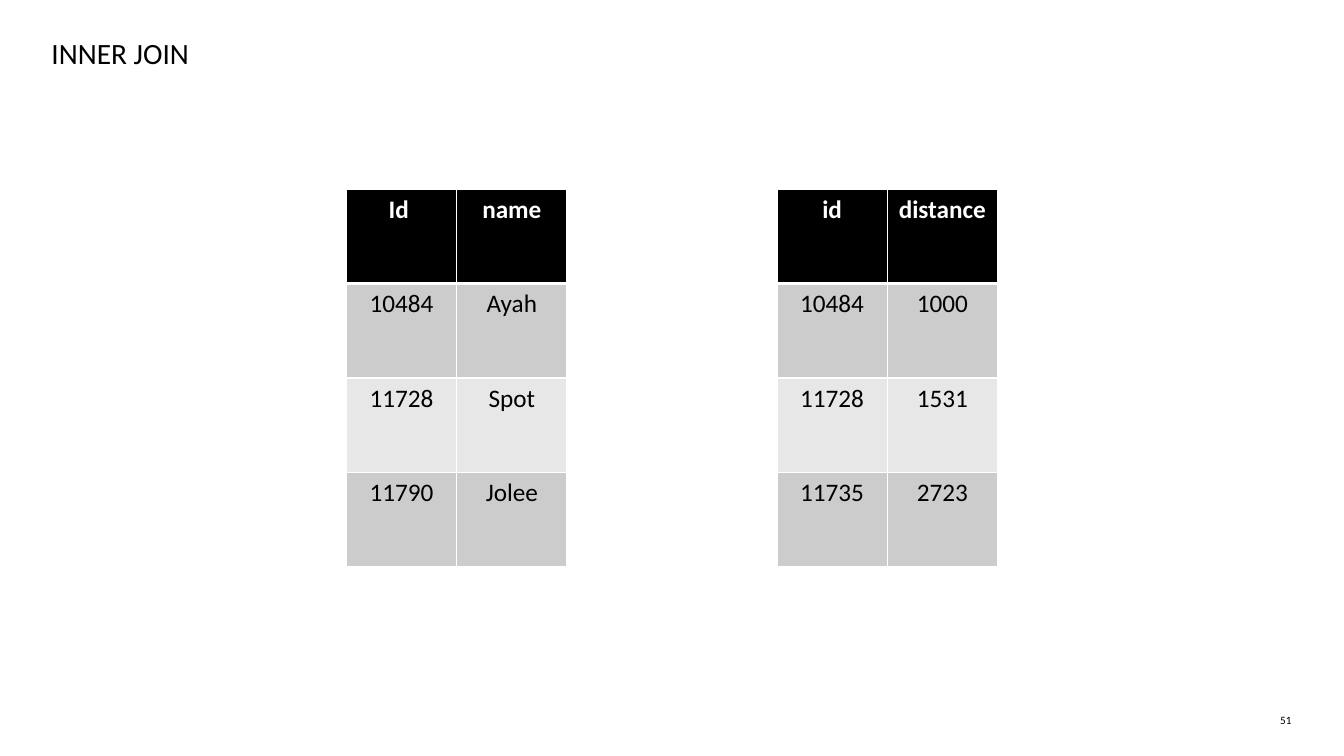
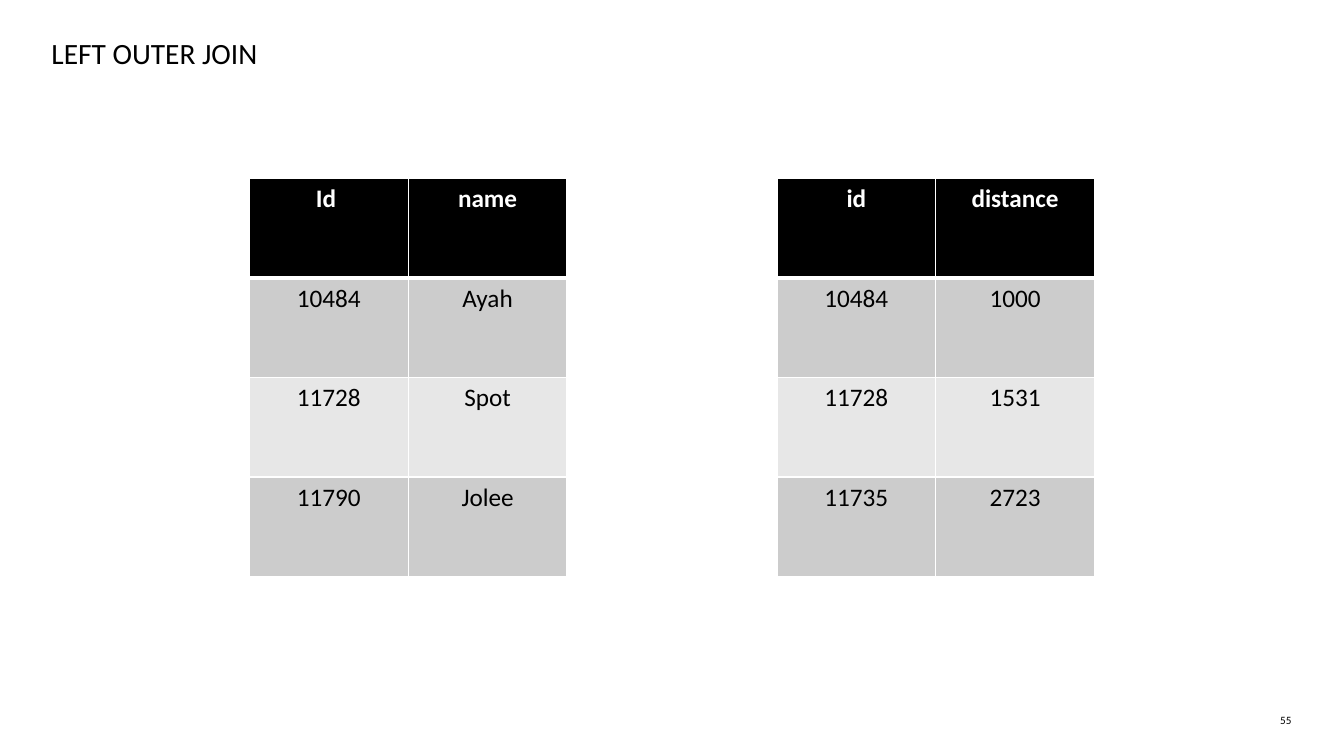
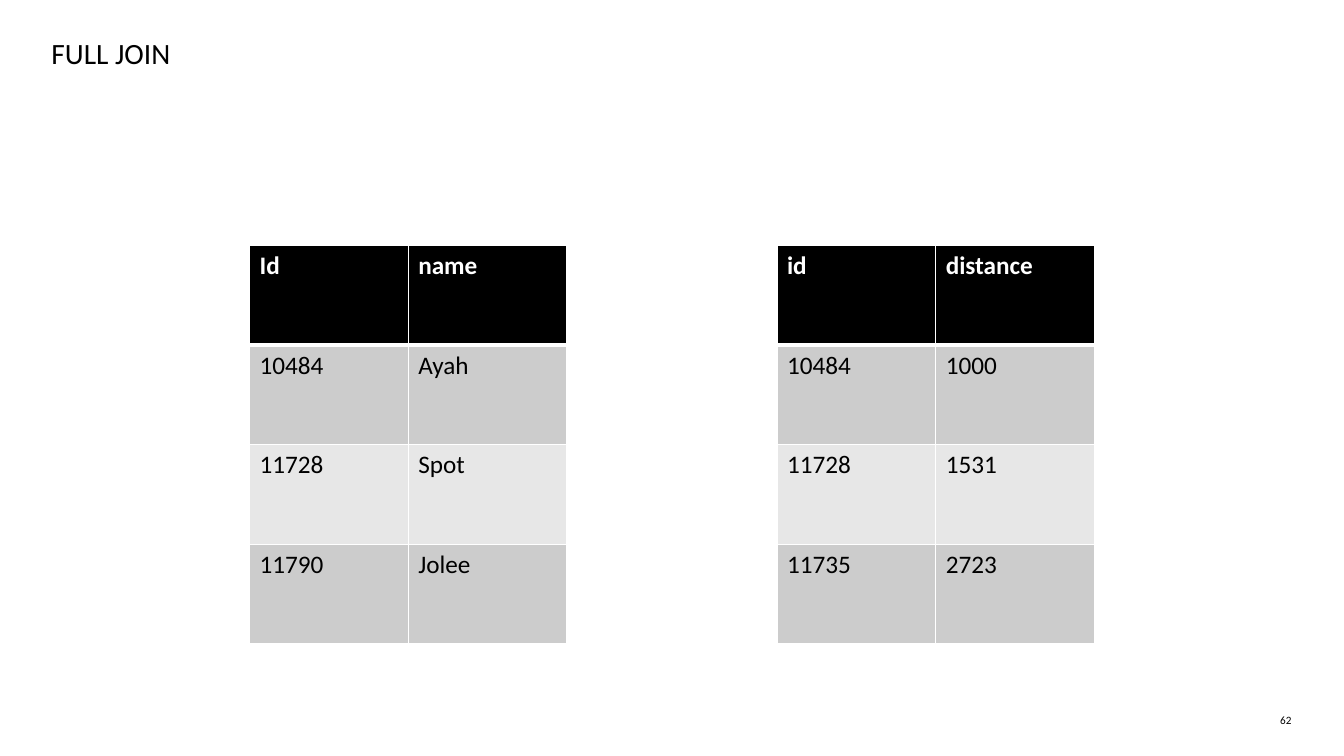
from dataclasses import dataclass

from lxml.etree import SubElement
from pptx import Presentation
from pptx.dml.color import RGBColor
from pptx.enum.text import MSO_ANCHOR, PP_ALIGN
from pptx.oxml.ns import qn
from pptx.util import Inches, Pt


@dataclass(frozen=True)
class Theme:
    font: str = "Calibri"
    ink: str = "000000"
    paper: str = "FFFFFF"
    header: str = "000000"
    bands: tuple = ("CCCCCC", "E7E7E7")
    title_size: int = 21
    table_size: int = 18
    number_size: int = 8
    rule: int = 1
    header_rule: int = 3


COLUMNS, ROWS = 64, 36
UNIT = Inches(7.5) / ROWS
TABLE_GAP = 10


def grid(*lengths):
    return [round(length * UNIT) for length in lengths]


def write_text(frame, text, *, font, size, color, bold=False, align=PP_ALIGN.LEFT):
    para = frame.paragraphs[0]
    para.alignment = align
    span = para.add_run()
    span.text = text
    span.font.name = font
    span.font.size = Pt(size)
    span.font.bold = bold
    span.font.color.rgb = RGBColor.from_string(color)


def add_border(cell, side, points, color):
    """Side is L, R, T or B; call before the cell is filled."""
    line = SubElement(cell._tc.get_or_add_tcPr(), qn(f"a:ln{side}"), w=str(Pt(points)))
    fill = SubElement(line, qn("a:solidFill"))
    SubElement(fill, qn("a:srgbClr"), val=color)


class SlideBuilder:
    def __init__(self, deck, theme):
        self.deck = deck
        self.theme = theme
        self.page = None

    def start(self, title, number):
        theme = self.theme
        self.page = self.deck.slides.add_slide(self.deck.slide_layouts[6])
        background = self.page.background.fill
        background.solid()
        background.fore_color.rgb = RGBColor.from_string(theme.paper)
        self.text(str(number), 59.9, 34, 1.6, 0.6, size=theme.number_size, align=PP_ALIGN.RIGHT)
        self.text(title, 2.45, 1.6, 58.8, 1.8, size=theme.title_size)

    def text(self, text, left, top, width, height, **style):
        box = self.page.shapes.add_textbox(*grid(left, top, width, height))
        frame = box.text_frame
        frame.word_wrap = True
        frame.vertical_anchor = MSO_ANCHOR.MIDDLE
        frame.margin_left = frame.margin_right = 0
        frame.margin_top = frame.margin_bottom = 0
        write_text(frame, text, font=self.theme.font, color=self.theme.ink, **style)

    def table(self, records, left, top, width, height, align):
        shape = self.page.shapes.add_table(
            len(records), len(records[0]), *grid(left, top, width, height))
        table = shape.table
        table.first_row = table.horz_banding = False
        for row, record in enumerate(records):
            for column, value in enumerate(record):
                self.cell(table.cell(row, column), row, value, align)

    def cell(self, cell, row, value, align):
        theme = self.theme
        is_header = row == 0
        rules = {"L": theme.rule, "R": theme.rule,
                 "T": theme.header_rule if row == 1 else theme.rule,
                 "B": theme.header_rule if is_header else theme.rule}
        for side, points in rules.items():
            add_border(cell, side, points, theme.paper)
        fill = theme.header if is_header else theme.bands[(row - 1) % 2]
        cell.fill.solid()
        cell.fill.fore_color.rgb = RGBColor.from_string(fill)
        write_text(cell.text_frame, value, font=theme.font, size=theme.table_size,
                   color=theme.paper if is_header else theme.ink,
                   bold=is_header, align=align)

    def table_pair(self, names, distances, top, width, height, align):
        """Place two tables at equal distances from the slide's middle."""
        middle = COLUMNS / 2
        self.table(names, middle - TABLE_GAP / 2 - width, top, width, height, align)
        self.table(distances, middle + TABLE_GAP / 2, top, width, height, align)


NAMES = [("10484", "Ayah"), ("11728", "Spot"), ("11790", "Jolee")]
DISTANCES = [("id", "distance"), ("10484", "1000"), ("11728", "1531"), ("11735", "2723")]

# title, number, first heading, table top, width, height, alignment
JOINS = [
    ("INNER JOIN", 51, "Id ", 9, 10.5, 18, PP_ALIGN.CENTER),
    ("LEFT OUTER JOIN", 55, "Id ", 8.5, 15.12, 18.96, PP_ALIGN.CENTER),
    ("FULL JOIN", 62, "Id", 11.7, 15.12, 18.96, PP_ALIGN.LEFT),
]


def main():
    deck = Presentation()
    deck.slide_width, deck.slide_height = grid(COLUMNS, ROWS)
    builder = SlideBuilder(deck, Theme())
    for title, number, heading, *layout in JOINS:
        builder.start(title, number)
        builder.table_pair([(heading, "name"), *NAMES], DISTANCES, *layout)
    deck.save("out.pptx")


if __name__ == "__main__":
    main()
